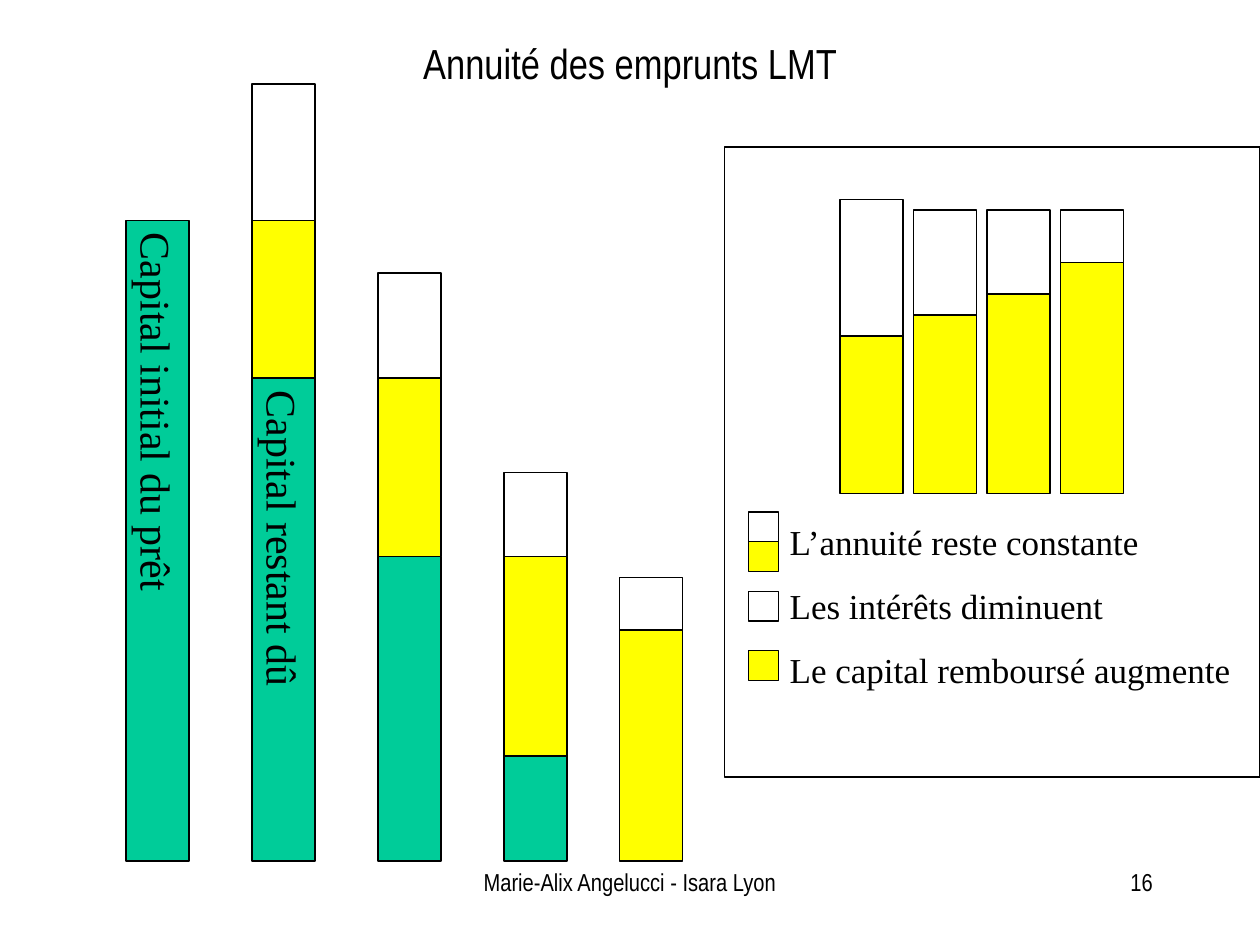
import pptx
import pptx.util
import pptx.dml.color
import pptx.enum.shapes
import pptx.enum.text

Cm = pptx.util.Cm
Pt = pptx.util.Pt
RGB = pptx.dml.color.RGBColor
ALIGN = pptx.enum.text.PP_ALIGN
MIDDLE = pptx.enum.text.MSO_ANCHOR.MIDDLE

BLACK = RGB(0x00, 0x00, 0x00)
WHITE = RGB(0xFF, 0xFF, 0xFF)
YELLOW = RGB(0xFF, 0xFF, 0x00)
GREEN = RGB(0x00, 0xCC, 0x99)

SANS = "Arial Narrow"
SERIF = "Times New Roman"

UNIT = 2.54 / 12  # grid step in cm
WIDTH = 6         # bar width in grid steps

# left, then heights of debt, capital repaid and interest, then label
LOANS = [
    (12, 61, 0, 0, "Capital initial du prêt"),
    (24, 46, 15, 13, "Capital restant dû"),
    (36, 29, 17, 10, ""),
    (48, 10, 19, 8, ""),
    (59, 0, 22, 5, ""),
]


def write(para, text, size, face, align=ALIGN.LEFT):
    para.alignment = align
    run = para.add_run()
    run.text = text
    run.font.size = Pt(size)
    run.font.name = face
    run.font.color.rgb = BLACK


def add_box(slide, left, top, width, height, fill=None):
    box = slide.shapes.add_shape(
        pptx.enum.shapes.MSO_SHAPE.RECTANGLE,
        Cm(left), Cm(top), Cm(width), Cm(height))
    box.shadow.inherit = False
    if fill is None:
        box.fill.background()
    else:
        box.fill.solid()
        box.fill.fore_color.rgb = fill
    box.line.color.rgb = BLACK
    box.line.width = Pt(0.75)
    return box


def add_label(box, text):
    frame = box.text_frame
    frame.word_wrap = False
    frame.vertical_anchor = MIDDLE
    frame.margin_left = frame.margin_right = Cm(0.13)
    frame.margin_top = frame.margin_bottom = Cm(0.25)
    frame._txBody.bodyPr.set("vert", "eaVert")
    write(frame.paragraphs[0], text, 24, SERIF, ALIGN.CENTER)


def add_bar(slide, left, base, parts, label=""):
    """Stack the parts upwards from the base; label the lowest one."""
    top = base
    for size, fill in parts:
        if not size:
            continue
        top -= size
        box = add_box(slide, left * UNIT, top * UNIT,
                      WIDTH * UNIT, size * UNIT, fill)
        if label:
            add_label(box, label)
            label = ""


def add_text(slide, left, top, width, height, lines, size, face,
             align=ALIGN.LEFT, gap=0):
    box = slide.shapes.add_textbox(Cm(left), Cm(top), Cm(width), Cm(height))
    frame = box.text_frame
    frame.word_wrap = True
    for i, line in enumerate(lines):
        para = frame.add_paragraph() if i else frame.paragraphs[0]
        if i:
            para.space_before = Pt(gap)
        write(para, line, size, face, align)


def add_title(slide, text):
    title = slide.shapes.title
    title.left, title.top = Cm(0.42), Cm(0.58)
    title.width, title.height = Cm(24.56), Cm(1.35)
    title.line.color.rgb = WHITE
    title.line.width = Pt(2.25)
    title.text_frame.vertical_anchor = MIDDLE
    write(title.text_frame.paragraphs[0], text, 24, SANS, ALIGN.CENTER)


def main():
    deck = pptx.Presentation()
    deck.slide_width, deck.slide_height = Cm(25.4), Cm(19.05)
    slide = deck.slides.add_slide(deck.slide_layouts[5])
    add_title(slide, "Annuité des emprunts LMT")

    # Loan balance, year by year
    for left, debt, paid, cost, label in LOANS:
        parts = [(debt, GREEN), (paid, YELLOW), (cost, WHITE)]
        add_bar(slide, left, 82, parts, label)

    # Panel: the yearly payments side by side
    add_box(slide, 69 * UNIT, 14 * UNIT, 51 * UNIT, 60 * UNIT)
    for i, (_, _, paid, cost, _) in enumerate(LOANS[1:]):
        add_bar(slide, 80 + 7 * i, 47, [(paid, YELLOW), (cost, WHITE)])

    # Legend
    side = 0.6
    for top, fill in [(10.32, WHITE), (10.32 + side, YELLOW),
                      (11.92, WHITE), (13.12, YELLOW)]:
        add_box(slide, 15.09, top, side, side, fill)
    add_text(slide, 15.67, 10.37, 9.73, 3.68,
             ["L’annuité reste constante", "Les intérêts diminuent",
              "Le capital remboursé augmente"], 20, SERIF, gap=12.5)

    # Footer and page number
    add_text(slide, 8.68, 17.36, 8.04, 1.27,
             ["Marie-Alix Angelucci - Isara Lyon"], 14, SANS, ALIGN.CENTER)
    add_text(slide, 18.2, 17.36, 5.29, 1.27, ["16"], 14, SANS, ALIGN.RIGHT)

    deck.save("out.pptx")


if __name__ == "__main__":
    main()
